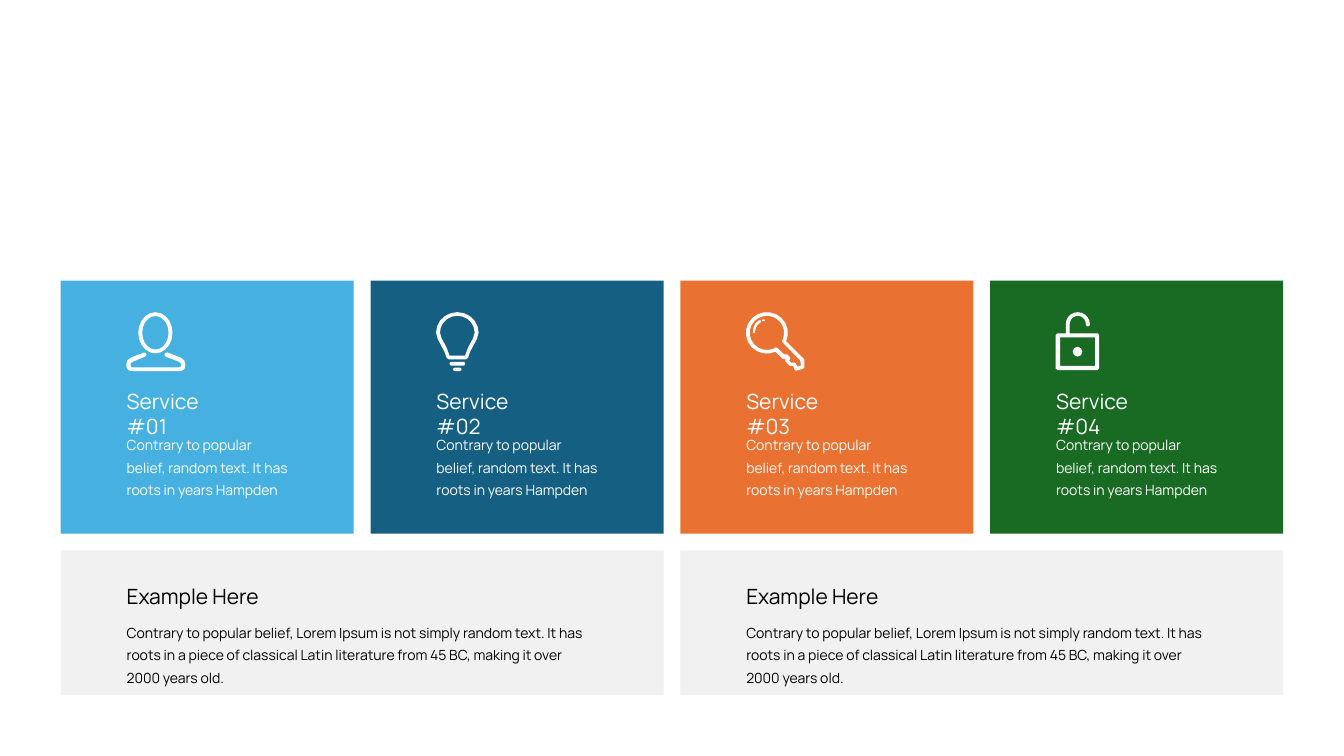
import math

import pptx
import pptx.dml.color
import pptx.enum.shapes
import pptx.enum.text
import pptx.util

Pt = pptx.util.Pt
RGB = pptx.dml.color.RGBColor

WHITE = RGB(0xFF, 0xFF, 0xFF)
BLACK = RGB(0x00, 0x00, 0x00)
SKY = RGB(0x46, 0xB1, 0xE1)
TEAL = RGB(0x15, 0x60, 0x82)
ORANGE = RGB(0xE9, 0x71, 0x32)
GREEN = RGB(0x19, 0x6B, 0x24)
GREY = RGB(0xF1, 0xF1, 0xF1)

FONT = "Manrope"
LEFT, WIDTH, GAP = 43.4, 873.2, 12
CARD_TOP, CARD_HEIGHT = 200.4, 180.7
PANEL_HEIGHT = 103.5
CARD_TEXT = "Contrary to popular belief, random text. It has roots in years Hampden"
PANEL_TEXT = (
    "Contrary to popular belief, Lorem Ipsum is not simply random text. "
    "It has roots in a piece of classical Latin literature from 45 BC, "
    "making it over 2000 years old."
)


def arc(cx, cy, rx, ry, start=0, end=360):
    """Return points along an elliptical arc, clockwise in degrees from the right."""
    steps = math.ceil(abs(end - start) / (18 if rx > 5 else 45))
    angles = [math.radians(start + (end - start) * i / steps) for i in range(steps + 1)]
    return [(cx + rx * math.cos(a), cy + ry * math.sin(a)) for a in angles]


def person_icon():
    """Return the shapes of the person, each a list of outlines."""
    shoulders = [
        (38.9, 32.4), (29.5, 28.8), (28, 29), (27.2, 30.2), (28.1, 31.7),
        (37.4, 35.3), (38.8, 36.2), (39.2, 37.6), (38.9, 39), (38, 39.4),
        (4.2, 39.4), (3.3, 39), (3, 37.6), (3.4, 36.2), (4.8, 35.3),
        (13.5, 31.7), (14.5, 30.4), (13.8, 29), (12.4, 28.9), (3.4, 32.4),
        (0.8, 34.4), (0, 37.4), (0.4, 40), (1.8, 41.6), (4.3, 42.1),
        (37.9, 42.1), (40.4, 41.6), (41.8, 40), (42.2, 37.4), (41.4, 34.4)]
    return [[arc(20.8, 14.7, 12.2, 14.7), arc(20.8, 14.7, 9.4, 12), shoulders]]


def bulb_icon():
    """Return the shapes of the light bulb, each a list of outlines."""
    outer = arc(15.2, 14.6, 15.2, 14.6, 180, 360) + [
        (29.2, 19.2), (24.5, 28), (22.9, 32.4), (21.4, 33.8),
        (9, 33.8), (7.5, 32.4), (5.9, 28), (1.2, 19.2)]
    inner = arc(15.2, 14.6, 12.4, 12, 180, 360) + [
        (26.5, 18.6), (23, 25), (20.8, 31), (9.6, 31), (7.4, 25), (3.9, 18.6)]
    bars = [[arc(x + r, y + r, r, r, 90, 270) + arc(x + w - r, y + r, r, r, -90, 90)]
            for x, y, w, r in [(12.2, 39.6, 6, 1.2), (9.6, 35.4, 11.2, 1.4)]]
    return bars + [[outer, inner]]


def key_icon():
    """Return the shapes of the key, each a list of outlines."""
    glint = [(5, 14.4), (5.5, 10.8), (7, 7.7), (9.4, 5.8), (10.6, 5.8), (10.8, 7),
             (8.2, 9.2), (7, 11.5), (6.5, 14.4), (5.8, 15.1)]
    outer = arc(15, 14.8, 15, 14.8, 66, 384) + [
        (41.2, 33.1), (41.8, 34), (41.8, 39.2), (41.2, 40.3), (36, 41.8),
        (34.8, 41.2), (33.8, 38.4), (31.7, 38.4), (30.9, 37.9), (28.4, 35.3),
        (28.1, 34.2), (28.6, 33), (27.6, 33.6), (26.2, 33.2), (20.9, 28.1)]
    inner = arc(15, 14.8, 12.3, 12.2, 66, 384) + [
        (25.9, 21.2), (38.9, 34.6), (39.4, 38.2), (36.7, 38.9), (35.6, 36.4),
        (34.8, 36), (32.4, 36), (31, 34.6), (31.6, 33), (31.3, 31.9),
        (29.5, 30.2), (27.4, 30.2), (22.3, 25.4), (21, 25.2)]
    return [[arc(12.6, 5.8, 1.1, 0.7)], [glint], [outer, inner]]


def lock_icon():
    """Return the shapes of the open padlock, each a list of outlines."""
    outer = (
        [(1.2, 15.1), (7.2, 15.1)]
        + arc(15.8, 8.6, 8.6, 8.6, 180, 360)
        + arc(23, 8.8, 1.4, 1.4, 0, 180)
        + arc(15.8, 8.6, 5.8, 6, 360, 180)
        + [(10, 15.1), (29.8, 15.1), (31, 16.2), (31, 40.2), (29.8, 41.3),
           (1.2, 41.3), (0, 40.2), (0, 16.2)])
    window = [(3.2, 18), (28.1, 18), (28.1, 38.3), (3.2, 38.3)]
    return [[arc(15.6, 28.2, 3.5, 3.5), outer, window]]


def paint(sp, color):
    """Fill a shape with one colour, without line or shadow."""
    sp.shadow.inherit = False
    sp.fill.solid()
    sp.fill.fore_color.rgb = color
    sp.line.fill.background()


def add_icon(s, left, top, parts):
    """Draw an icon in white, grouping it when it has several parts."""
    shapes = s.shapes.add_group_shape().shapes if len(parts) > 1 else s.shapes
    for outlines in parts:
        fb = None
        for pts in outlines:
            units = [(x * 100, y * 100) for x, y in pts]
            if fb is None:
                fb = shapes.build_freeform(*units[0], scale=Pt(1) / 100)
            else:
                fb.move_to(*units[0])
            fb.add_line_segments(units[1:], close=True)
        paint(fb.convert_to_shape(Pt(left), Pt(top)), WHITE)


def add_rect(s, left, top, width, height, color):
    """Draw a plain filled rectangle."""
    kind = pptx.enum.shapes.MSO_SHAPE.RECTANGLE
    paint(s.shapes.add_shape(kind, Pt(left), Pt(top), Pt(width), Pt(height)), color)


def add_text(shapes, left, top, width, height, text, size, color, spacing=None):
    """Add a wrapping text box with one run."""
    tf = shapes.add_textbox(Pt(left), Pt(top), Pt(width), Pt(height)).text_frame
    tf.word_wrap = True
    tf.auto_size = pptx.enum.text.MSO_AUTO_SIZE.SHAPE_TO_FIT_TEXT
    p = tf.paragraphs[0]
    if spacing:
        p.line_spacing = Pt(spacing)
    r = p.add_run()
    r.text = text
    r.font.size = Pt(size)
    r.font.name = FONT
    r.font.color.rgb = color


def service_card(s, left, top, width, height, color, title, icon):
    """Draw a coloured card with an icon, a title and a description."""
    add_rect(s, left, top, width, height, color)
    add_text(s.shapes, left + 40, top + 73.4, 92.9, 25.2, title, 15, WHITE)
    add_text(s.shapes, left + 40, top + 104, 129.6, 54.7, CARD_TEXT, 10, WHITE, 16)
    add_icon(s, left + 46.8, top + 22.6, icon)


def example_panel(s, left, top, width, height):
    """Draw a grey panel with a heading and a paragraph."""
    add_rect(s, left, top, width, height, GREY)
    shapes = s.shapes.add_group_shape().shapes
    add_text(shapes, left + 40, top + 20.2, 180, 25.2, "Example Here", 15, BLACK)
    add_text(shapes, left + 40, top + 45.5, 350.6, 54.7, PANEL_TEXT, 10, BLACK, 16)


def main():
    """Build the slide and save it."""
    prs = pptx.Presentation()
    prs.slide_width, prs.slide_height = Pt(960), Pt(540)
    s = prs.slides.add_slide(prs.slide_layouts[6])
    cards = [(SKY, person_icon()), (TEAL, bulb_icon()),
             (ORANGE, key_icon()), (GREEN, lock_icon())]
    card_width = (WIDTH - 3 * GAP) / 4
    for i, (color, icon) in enumerate(cards):
        service_card(s, LEFT + i * (card_width + GAP), CARD_TOP, card_width,
                     CARD_HEIGHT, color, f"Service #0{i + 1}", icon)
    panel_width = (WIDTH - GAP) / 2
    for i in range(2):
        example_panel(s, LEFT + i * (panel_width + GAP), CARD_TOP + CARD_HEIGHT + GAP,
                      panel_width, PANEL_HEIGHT)
    prs.save("out.pptx")


if __name__ == "__main__":
    main()
